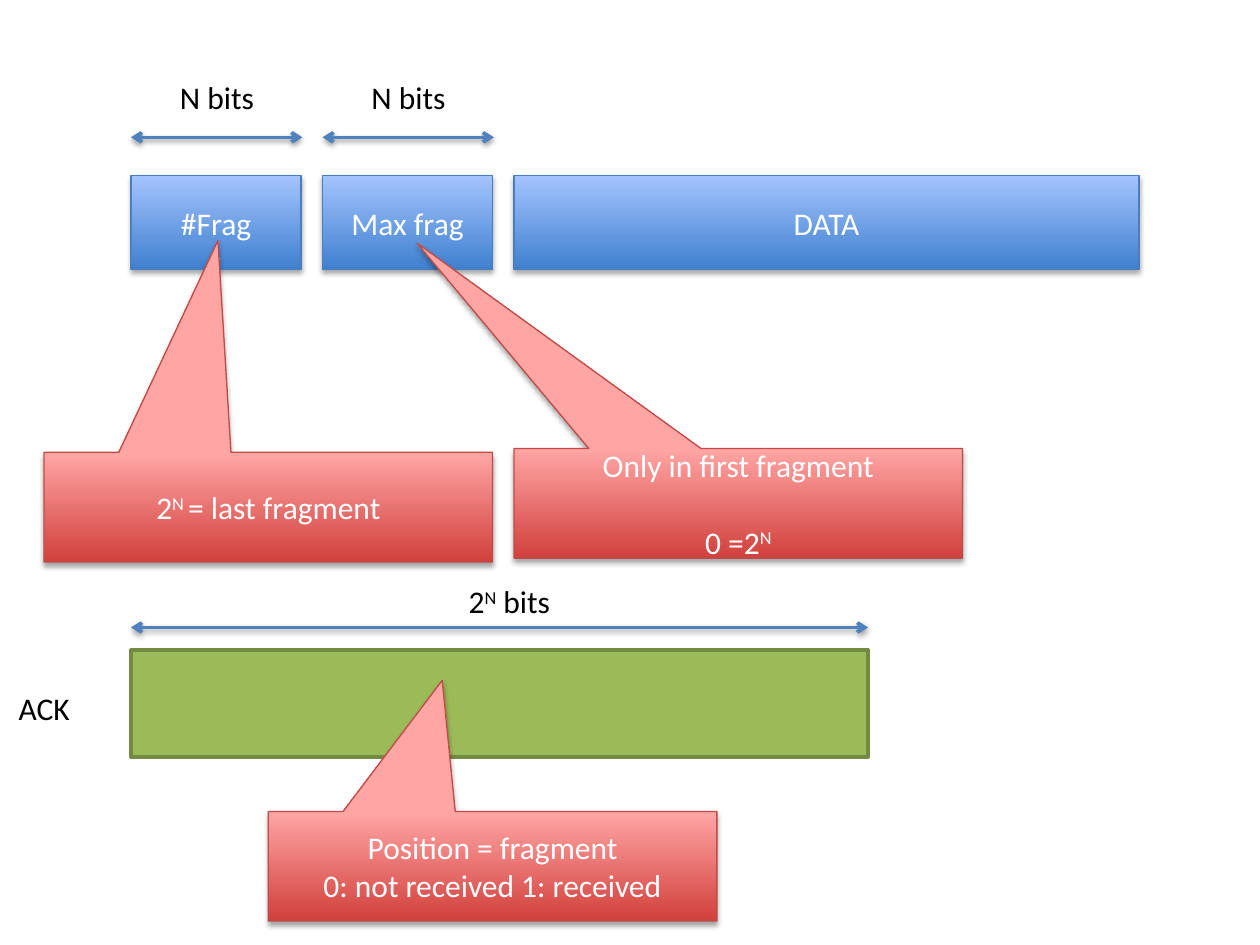
"""Build a slide showing a fragment header and its acknowledgement bitmap."""
from pptx import Presentation
from pptx.dml.color import RGBColor
from pptx.enum.shapes import MSO_CONNECTOR, MSO_SHAPE
from pptx.enum.text import MSO_ANCHOR, MSO_AUTO_SIZE, PP_ALIGN
from pptx.oxml import parse_xml
from pptx.oxml.ns import nsdecls
from pptx.util import Inches, Pt

RECT, CALLOUT = MSO_SHAPE.RECTANGLE, MSO_SHAPE.RECTANGULAR_CALLOUT
STRAIGHT, MIDDLE = MSO_CONNECTOR.STRAIGHT, MSO_ANCHOR.MIDDLE
CENTER, LEFT = PP_ALIGN.CENTER, PP_ALIGN.LEFT
FIT_SHAPE = MSO_AUTO_SIZE.SHAPE_TO_FIT_TEXT

FONT = {"size": Pt(18), "name": "Calibri"}
WHITE, BLACK, ARROW_BLUE = "FFFFFF", "000000", "4F81BD"
BLUE = ("3F80CE", "A4C4FF", "4B7EBC")
RED = ("D1403C", "FFA6A5", "BF4C48")
ACK_FILL, ACK_LINE = "9BBB59", "738A42"

FIELD_LEFT, FIELD_STEP, FIELD_TOP, FIELD_HEIGHT = 1.04, 1.52, 1.39, 0.75
FIELDS = [("#Frag", 1.35), ("Max frag", 1.35), ("DATA", 4.96)]
ACK_TOP, ACK_WIDTH, ACK_HEIGHT = 5.16, 5.85, 0.85
SPANS = [(1.04, 1.09, 1.36), (2.56, 1.09, 1.36), (1.04, 4.98, ACK_WIDTH)]
LABELS = [
    (1.33, 0.57, 0.8, "N bits"),
    (2.85, 0.57, 0.8, "N bits"),
    (0.05, 5.42, 0.61, "ACK"),
    (3.62, 4.57, 0.88, "2^N^ bits"),
]
CALLOUT_WIDTH, CALLOUT_HEIGHT = 3.56, 0.87
CALLOUTS = [
    (4.08, 3.56, (3.31, 1.93), ["Only in first fragment", "0 =2^N^"], 22),
    (0.35, 3.59, (1.73, 1.91), ["2^N ^= last fragment"], 0),
    (2.13, 6.44, (3.51, 5.4), ["Position = fragment", "0: not received 1: received"], 0),
]


def rgb(value):
    """Turn a hex string into a colour."""
    return RGBColor.from_string(value)


def add_shadow(part, opacity, distance):
    """Give a shape or connector a soft shadow below it."""
    part._element.spPr.append(parse_xml(
        f'<a:effectLst {nsdecls("a")}><a:outerShdw blurRad="{Pt(3.1)}" '
        f'dist="{Pt(distance)}" dir="5400000" rotWithShape="0">'
        f'<a:srgbClr val="000000"><a:alpha val="{opacity * 1000}"/></a:srgbClr>'
        '</a:outerShdw></a:effectLst>'))


def write(frame, lines, color, align, gap=0):
    """Write lines, raising the text between carets to superscript."""
    for number, line in enumerate(lines):
        paragraph = frame.paragraphs[0] if number == 0 else frame.add_paragraph()
        paragraph.alignment = align
        if number:
            paragraph.space_before = Pt(gap)
        for position, piece in enumerate(line.split("^")):
            if not piece:
                continue
            run = paragraph.add_run()
            run.text = piece
            for attribute, value in FONT.items():
                setattr(run.font, attribute, value)
            run.font.color.rgb = rgb(color)
            if position % 2:
                run._r.get_or_add_rPr().set("baseline", "30000")


def add_box(kind, left, top, width, height, line_color, line_width):
    """Add an outlined shape without an inherited shadow."""
    box = slide.shapes.add_shape(kind, *map(Inches, (left, top, width, height)))
    box.line.color.rgb = rgb(line_color)
    box.line.width = Pt(line_width)
    return box


def add_gradient_box(kind, bounds, colors, lines, gap=0):
    """Add a shaded box with centred white text."""
    bottom, top, outline = colors
    box = add_box(kind, *bounds, outline, 0.75)
    box.fill.gradient()
    box.fill.gradient_angle = 90
    for stop, color in zip(box.fill.gradient_stops, (bottom, top)):
        stop.color.rgb = rgb(color)
    add_shadow(box, 35, 1.8)
    box.text_frame.vertical_anchor = MIDDLE
    write(box.text_frame, lines, WHITE, CENTER, gap)
    return box


def add_span(left, top, width):
    """Add a double-headed arrow that measures a field."""
    span = slide.shapes.add_connector(
        STRAIGHT, *map(Inches, (left, top, left + width, top)))
    span.line.color.rgb = rgb(ARROW_BLUE)
    span.line.width = Pt(2)
    for end in ("headEnd", "tailEnd"):
        span.line._get_or_add_ln().append(
            parse_xml(f'<a:{end} {nsdecls("a")} type="arrow"/>'))
    add_shadow(span, 38, 1.6)


def add_label(left, top, width, text):
    """Add a one-line black label."""
    label = slide.shapes.add_textbox(*map(Inches, (left, top, width, 0.4)))
    label.text_frame.word_wrap = False
    label.text_frame.auto_size = FIT_SHAPE
    write(label.text_frame, [text], BLACK, LEFT)


def add_callout(left, top, tip, lines, gap):
    """Add a red callout whose pointer ends at tip."""
    bounds = (left, top, CALLOUT_WIDTH, CALLOUT_HEIGHT)
    callout = add_gradient_box(CALLOUT, bounds, RED, lines, gap)
    callout.adjustments[0] = (tip[0] - left) / CALLOUT_WIDTH - 0.5
    callout.adjustments[1] = (tip[1] - top) / CALLOUT_HEIGHT - 0.5


presentation = Presentation()
presentation.slide_width, presentation.slide_height = Inches(10), Inches(7.5)
slide = presentation.slides.add_slide(presentation.slide_layouts[6])

for column, (name, width) in enumerate(FIELDS):
    left = FIELD_LEFT + column * FIELD_STEP
    add_gradient_box(RECT, (left, FIELD_TOP, width, FIELD_HEIGHT), BLUE, [name])

ack = add_box(RECT, FIELD_LEFT, ACK_TOP, ACK_WIDTH, ACK_HEIGHT, ACK_LINE, 2)
ack.fill.solid()
ack.fill.fore_color.rgb = rgb(ACK_FILL)
ack.shadow.inherit = False

for span in SPANS:
    add_span(*span)
for label in LABELS:
    add_label(*label)
for callout in CALLOUTS:
    add_callout(*callout)

presentation.save("out.pptx")
